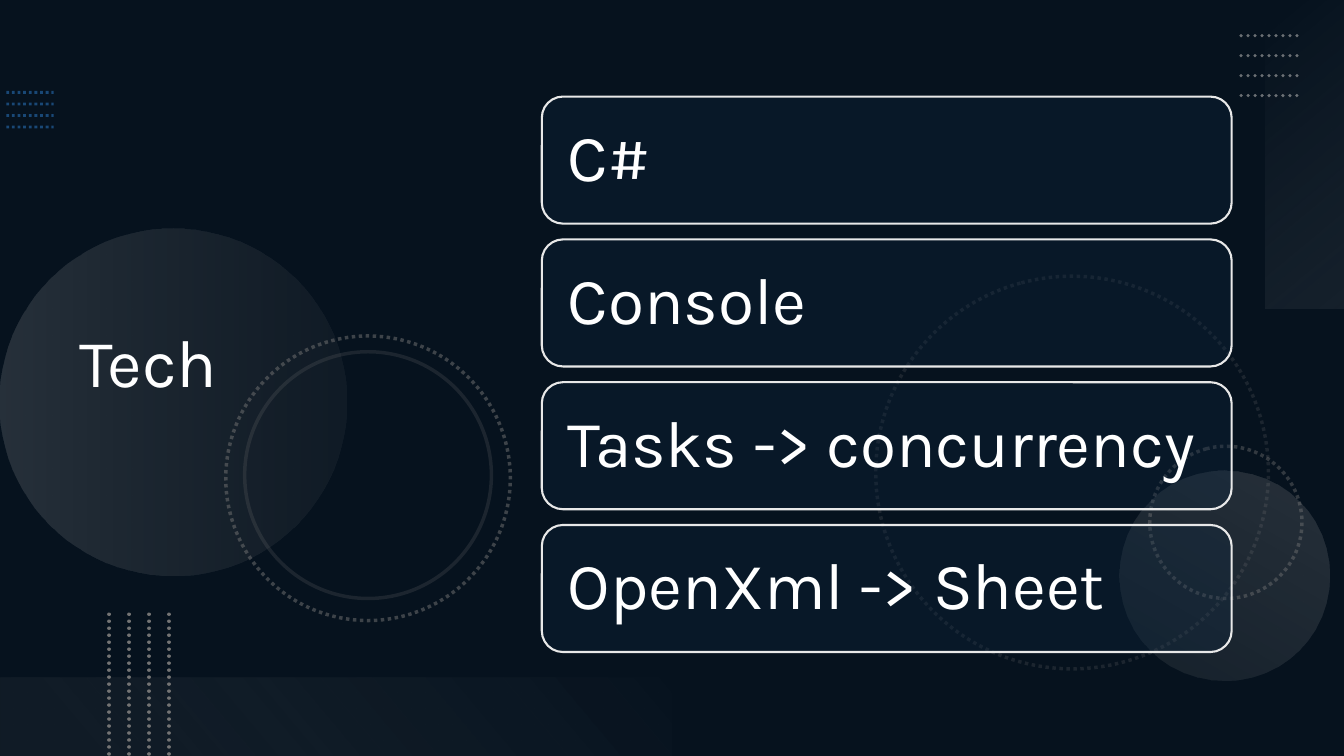
from lxml.etree import SubElement
from pptx import Presentation
from pptx.dml.color import RGBColor
from pptx.enum.dml import MSO_LINE
from pptx.enum.shapes import MSO_CONNECTOR, MSO_SHAPE
from pptx.enum.text import MSO_ANCHOR, PP_ALIGN
from pptx.oxml.ns import qn
from pptx.util import Pt

PX = 9525
FONT = "Karla"
HUES = {
    "navy": "0E2841", "black": "000000", "white": "FFFFFF", "blue": "2D7FCF",
    "grey": "747474", "silver": "AEAEAE", "edge": "E8E8E8", "pale": "F6F6F6",
    "mist": "F1F1F1",
}


def hue(name):
    """Return the named colour."""
    return RGBColor.from_string(HUES[name])


def fade(node, pct):
    """Set the opacity of the colour inside a node."""
    tint = node.find(".//" + qn("a:srgbClr"))
    SubElement(tint, qn("a:alpha")).set("val", str(pct * 1000))


def add_form(slide, kind, box, turn=0):
    """Add a plain shape without fill, line or shadow."""
    form = slide.shapes.add_shape(kind, *(n * PX for n in box))
    form.shadow.inherit = False
    form.fill.background()
    form.line.fill.background()
    form.rotation = turn
    return form


def tint(form, color, pct):
    """Fill a shape with one translucent colour."""
    form.fill.solid()
    form.fill.fore_color.rgb = hue(color)
    fade(form.element.spPr.find(qn("a:solidFill")), pct)


def blend(form, angle, *stops):
    """Fill a shape with a translucent gradient at a clockwise angle."""
    form.fill.gradient()
    form.fill.gradient_angle = 360 - angle
    nodes = form.element.spPr.iter(qn("a:gs"))
    for stop, node, (place, color, pct) in zip(form.fill.gradient_stops, nodes, stops):
        stop.position = place
        stop.color.rgb = hue(color)
        fade(node, pct)


def stroke(form, color, width, pct=100, dots=True):
    """Draw the line of a shape or connector."""
    form.line.color.rgb = hue(color)
    form.line.width = Pt(width)
    if dots:
        form.line.dash_style = MSO_LINE.ROUND_DOT
    fade(form.element.spPr.find(qn("a:ln")), pct)


def add_ring(slide, x, y, size, pct, dots=True):
    """Add an open circle."""
    ring = add_form(slide, MSO_SHAPE.OVAL, (x, y, size, size), 75)
    stroke(ring, "grey", 2.5, pct, dots)


def add_disc(slide, x, y, size, turn, *stops):
    """Add a circle with a gradient."""
    disc = add_form(slide, MSO_SHAPE.OVAL, (x, y, size, size), turn)
    blend(disc, 90, *stops)


def add_band(slide, box, turn, *stops):
    """Add a rectangle with a slanted gradient."""
    blend(add_form(slide, MSO_SHAPE.RECTANGLE, box, turn), 140, *stops)


def add_rows(slide, start, end, step, color, width, pct, cap="flat"):
    """Add four parallel dotted lines, each one step from the last."""
    for i in range(4):
        dx, dy = step[0] * i, step[1] * i
        ends = (start[0] + dx, start[1] + dy, end[0] + dx, end[1] + dy)
        row = slide.shapes.add_connector(MSO_CONNECTOR.STRAIGHT, *(n * PX for n in ends))
        stroke(row, color, width, pct)
        row.element.spPr.find(qn("a:ln")).set("cap", cap)
        SubElement(row.element.spPr, qn("a:effectLst"))


def write(form, text, size):
    """Put one left-aligned paragraph in the middle of a shape."""
    frame = form.text_frame
    frame.word_wrap = True
    frame.vertical_anchor = MSO_ANCHOR.MIDDLE
    para = frame.paragraphs[0]
    para.text = text
    para.alignment = PP_ALIGN.LEFT
    para.line_spacing = 0.9
    para.font.name = FONT
    para.font.size = Pt(size)
    para.font.color.rgb = hue("white")


def add_card(slide, y, text):
    """Add a rounded card with its label."""
    card = add_form(slide, MSO_SHAPE.ROUNDED_RECTANGLE, (516, y, 657, 121))
    tint(card, "navy", 30)
    stroke(card, "edge", 1.5, dots=False)
    write(card, text, 47)
    card.text_frame.margin_left = card.text_frame.margin_right = 19 * PX


def add_decor(slide):
    """Add the dots, circles and bands behind the text."""
    tint(add_form(slide, MSO_SHAPE.RECTANGLE, (0, 0, 1280, 720)), "black", 53)
    add_rows(slide, (6, 88), (51, 88), (0, 11), "blue", 2, 50)
    add_ring(slide, 834, 263, 374, 20)
    add_ring(slide, 1095, 425, 145, 40)
    add_disc(slide, 0, 218, 330, 270, (0, "silver", 20), (1, "grey", 10))
    add_disc(slide, 1066, 448, 200, 210, (0, "silver", 10), (1, "silver", 20))
    add_ring(slide, 215, 320, 271, 50)
    add_ring(slide, 233, 335, 235, 20, False)
    add_band(slide, (1096, 109, 294, 75), 270, (0, "pale", 0), (1, "silver", 10))
    add_rows(slide, (1182, 34), (1239, 34), (0, 19), "silver", 2.5, 60, "rnd")
    add_band(slide, (0, 645, 640, 75), 180, (0.1, "grey", 10), (1, "mist", 0))
    add_rows(slide, (104, 585), (104, 720), (19, 0), "grey", 2.5, 100, "rnd")


def main():
    """Build and save the slide."""
    deck = Presentation()
    deck.slide_width, deck.slide_height = 1280 * PX, 720 * PX
    slide = deck.slides.add_slide(deck.slide_layouts[6])
    slide.background.fill.solid()
    slide.background.fill.fore_color.rgb = hue("navy")
    add_decor(slide)
    title = slide.shapes.add_textbox(*(n * PX for n in (66, 52, 441, 592)))
    write(title, "Tech", 48)
    labels = ("C#", "Console", "Tasks -> concurrency", "OpenXml -> Sheet")
    for i, label in enumerate(labels):
        add_card(slide, 92 + 136 * i, label)
    deck.save("out.pptx")


if __name__ == "__main__":
    main()
